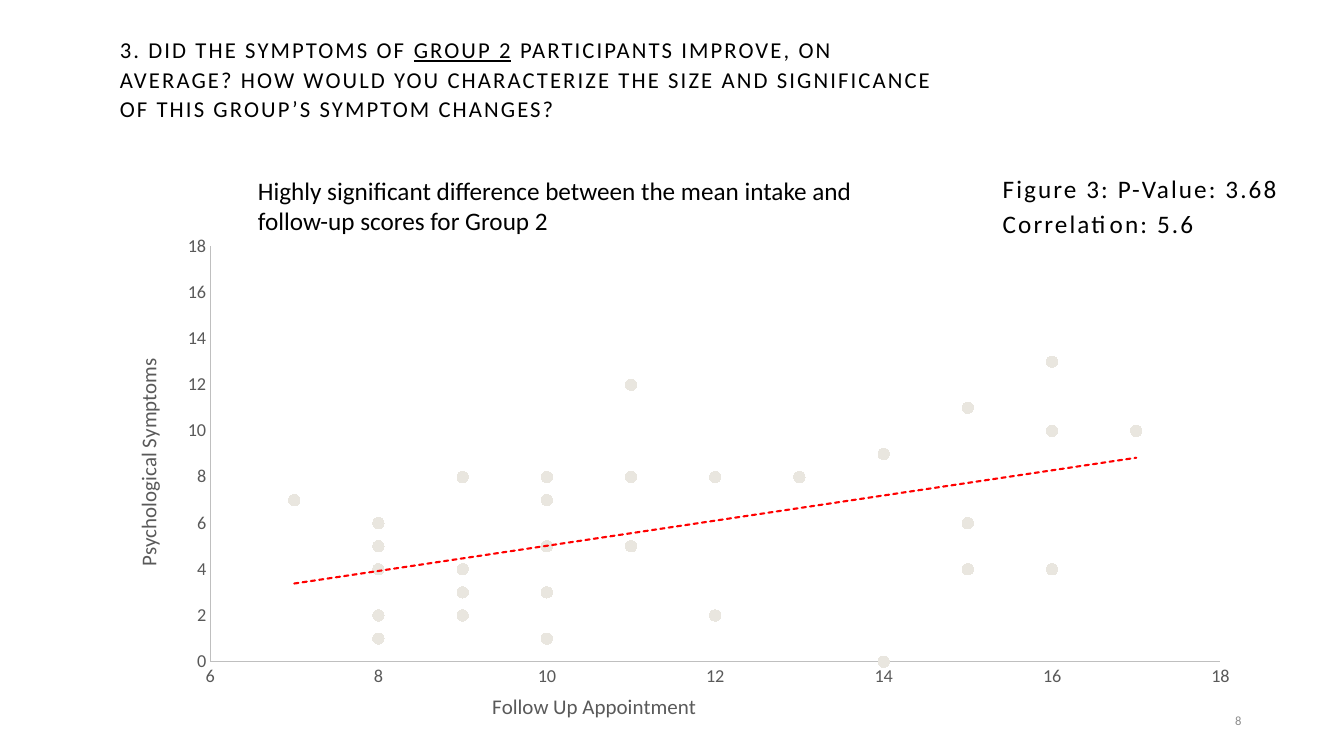
import pptx
import pptx.chart.data
import pptx.dml.color
import pptx.enum.chart
import pptx.enum.dml
import pptx.enum.text
import pptx.oxml
import pptx.oxml.ns
import pptx.util

Cm = pptx.util.Cm
Pt = pptx.util.Pt
RGBColor = pptx.dml.color.RGBColor
PP_ALIGN = pptx.enum.text.PP_ALIGN
MSO_ANCHOR = pptx.enum.text.MSO_ANCHOR
qn = pptx.oxml.ns.qn

FONT = "Calibri"
BLACK = RGBColor(0x00, 0x00, 0x00)
PAGE_GREY = RGBColor(0x8C, 0x8C, 0x8C)
AXIS_TEXT = RGBColor(0x59, 0x59, 0x59)
AXIS_LINE = RGBColor(0xBF, 0xBF, 0xBF)
MARKER = RGBColor(0xE9, 0xE6, 0xDF)
TREND = RGBColor(0xFF, 0x00, 0x00)

FOLLOW_UP = [9, 12, 10, 9, 16, 15, 11, 10, 9, 15, 9, 14, 8, 15, 11, 9, 14, 9, 9, 14, 12, 15,
             8, 13, 9, 8, 12, 16, 13, 11, 16, 13, 8, 8, 10, 14, 10, 11, 17, 7, 8, 10, 10]
SYMPTOMS = [2, 2, 5, 3, 13, 6, 12, 7, 3, 11, 2, 0, 4, 6, 8, 4, 9, 3, 4, 9, 2, 4,
            2, 8, 8, 5, 8, 10, 8, 5, 4, 8, 6, 1, 1, 9, 3, 5, 10, 7, 4, 8, 8]


def style_font(font, size, color):
    font.name = FONT
    font.size = Pt(size)
    font.bold = False
    font.color.rgb = color


def add_text(slide, box, paragraphs, size=18, color=BLACK, align=PP_ALIGN.LEFT,
             anchor=MSO_ANCHOR.TOP, tracking=0, line_spacing=None, space_after=0):
    frame = slide.shapes.add_textbox(*(Cm(length) for length in box)).text_frame
    frame.word_wrap = True
    frame.vertical_anchor = anchor
    for index, runs in enumerate(paragraphs):
        paragraph = frame.add_paragraph() if index else frame.paragraphs[0]
        paragraph.alignment = align
        paragraph.line_spacing = line_spacing
        paragraph.space_after = Pt(space_after)
        for wording, underlined in runs:
            run = paragraph.add_run()
            run.text = wording
            style_font(run.font, size, color)
            run.font.underline = underlined
            if tracking:
                run.font._element.set("spc", str(round(tracking * 100)))


def set_layout(parent, **settings):
    layout = parent.find(qn("c:layout"))
    if layout is None:
        layout = pptx.oxml.parse_xml(f"<c:layout {pptx.oxml.ns.nsdecls('c')}/>")
        parent.insert(0, layout)
    children = "".join(f'<c:{tag} val="{value}"/>' for tag, value in settings.items())
    layout.append(pptx.oxml.parse_xml(
        f"<c:manualLayout {pptx.oxml.ns.nsdecls('c')}>{children}</c:manualLayout>"))


def format_axis(axis, title, low, high, x, y):
    axis.minimum_scale = low
    axis.maximum_scale = high
    axis.major_unit = 2
    axis.has_major_gridlines = False
    axis.major_tick_mark = axis.minor_tick_mark = pptx.enum.chart.XL_TICK_MARK.NONE
    style_font(axis.tick_labels.font, 13, AXIS_TEXT)
    axis.format.line.color.rgb = AXIS_LINE
    axis.format.line.width = Pt(0.75)
    heading = axis.axis_title.text_frame.paragraphs[0].add_run()
    heading.text = title
    style_font(heading.font, 15, AXIS_TEXT)
    set_layout(axis.axis_title._element, xMode="edge", yMode="edge", x=x, y=y)


def add_trend(series):
    trend = pptx.oxml.parse_xml(
        f"<c:trendline {pptx.oxml.ns.nsdecls('c', 'a')}><c:spPr>"
        f'<a:ln w="{Pt(1.5)}" cap="rnd"><a:solidFill><a:srgbClr val="{TREND}"/></a:solidFill>'
        '<a:prstDash val="sysDash"/></a:ln></c:spPr><c:trendlineType val="linear"/>'
        '<c:dispRSqr val="0"/><c:dispEq val="0"/></c:trendline>')
    series._element.find(qn("c:xVal")).addprevious(trend)


def add_scatter(slide, box):
    scores = pptx.chart.data.XyChartData()
    group = scores.add_series("Series 1")
    for visit, score in zip(FOLLOW_UP, SYMPTOMS):
        group.add_data_point(visit, score)
    chart = slide.shapes.add_chart(pptx.enum.chart.XL_CHART_TYPE.XY_SCATTER,
                                   *(Cm(length) for length in box), scores).chart
    chart.has_legend = False
    chart.has_title = False
    style_font(chart.font, 10, BLACK)
    plot = chart.plots[0]
    plot.vary_by_categories = False
    series = plot.series[0]
    series.smooth = False
    series.format.line.fill.background()
    series.marker.style = pptx.enum.chart.XL_MARKER_STYLE.CIRCLE
    series.marker.size = 8
    series.marker.format.fill.solid()
    series.marker.format.fill.fore_color.rgb = MARKER
    series.marker.format.line.color.rgb = MARKER
    add_trend(series)
    format_axis(chart.category_axis, "Follow Up Appointment", 6, 18, x=0.36, y=0.95)
    format_axis(chart.value_axis, "Psychological Symptoms", 0, 18, x=0.06, y=0.47)
    set_layout(chart._chartSpace.chart.plotArea, layoutTarget="inner", xMode="edge",
               yMode="edge", x=0.127, y=0.313, w=0.846, h=0.599)


def add_question(slide, box):
    add_text(slide, box, [[
        ("3. DID THE SYMPTOMS OF ", False),
        ("GROUP 2", True),
        (" PARTICIPANTS IMPROVE, ON AVERAGE? HOW WOULD YOU CHARACTERIZE THE SIZE "
         "AND SIGNIFICANCE OF THIS GROUP’S SYMPTOM CHANGES?", False),
    ]], size=16.2, tracking=1.5, line_spacing=1.07)


def add_findings(slide, box):
    left, top, width, height = box
    figure_width = 8.38
    add_text(slide, (left, top + 0.05, 16.94, height - 0.1), [[
        ("Highly significant difference between the mean intake and "
         "follow-up scores for Group 2", False)]])
    add_text(slide, (left + width - figure_width, top, figure_width, height),
             [[("Figure 3: P-Value: 3.68", False)], [("Correlation: 5.6", False)]],
             tracking=1.5, space_after=3.2)


def add_page_number(slide, box):
    add_text(slide, box, [[("8", False)]], size=9, color=PAGE_GREY,
             align=PP_ALIGN.RIGHT, anchor=MSO_ANCHOR.MIDDLE)


def main():
    deck = pptx.Presentation()
    deck.slide_width = Cm(33.87)
    deck.slide_height = Cm(19.05)
    slide = deck.slides.add_slide(deck.slide_layouts[6])
    add_scatter(slide, (1.47, 0.74, 30.1, 17.55))
    add_question(slide, (2.77, 0.74, 21.13, 3.12))
    add_findings(slide, (6.25, 4.24, 27.15, 1.9))
    add_page_number(slide, (28.8, 17.65, 2.74, 1.02))
    deck.save("out.pptx")


if __name__ == "__main__":
    main()
